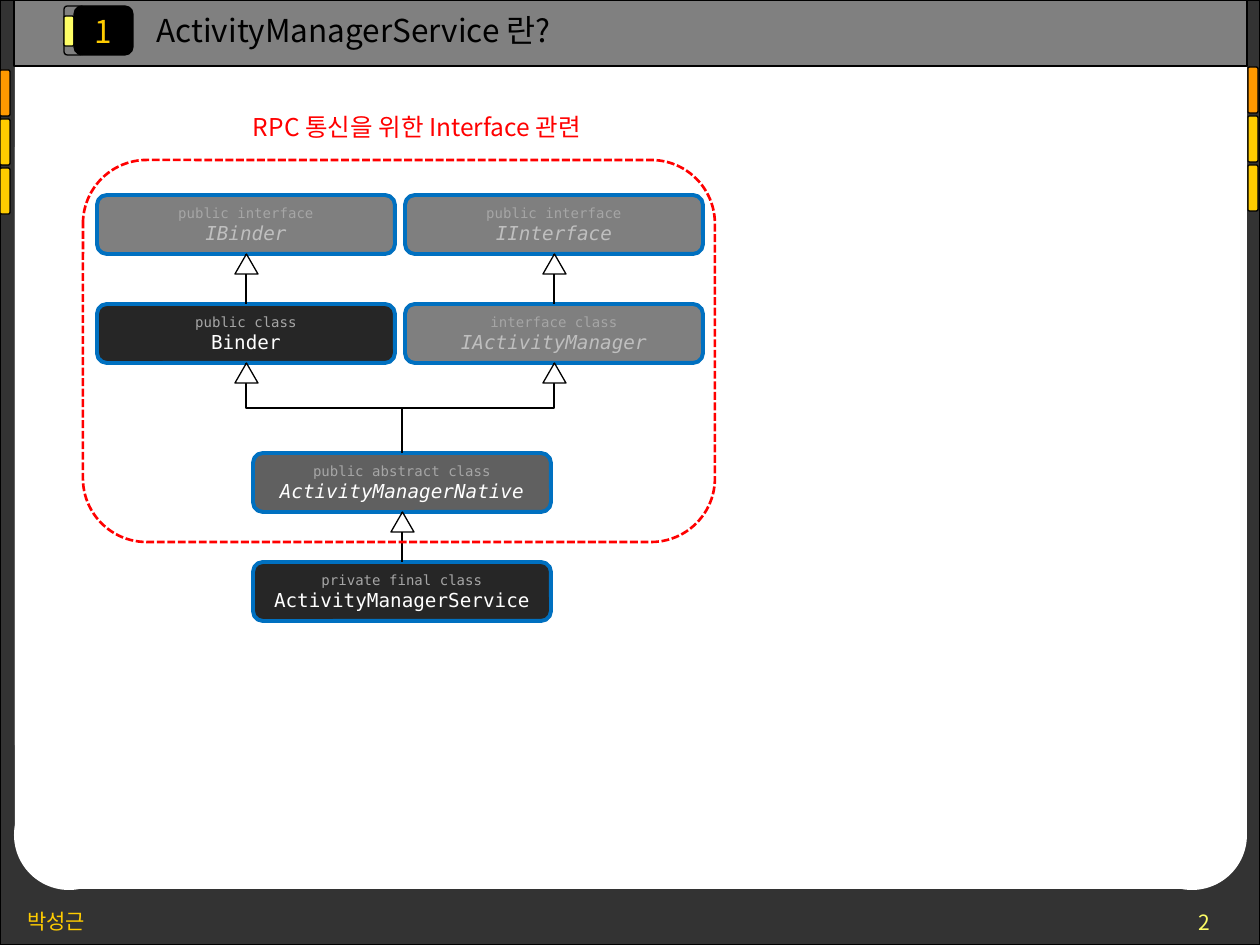
from typing import NamedTuple

from lxml import etree
from pptx import Presentation
from pptx import util as u
from pptx.dml.color import RGBColor
from pptx.enum import dml, shapes, text
from pptx.oxml.ns import qn

KOREAN = "Noto Sans CJK KR"
MONO = "DejaVu Sans Mono"
RECT = shapes.MSO_SHAPE.RECTANGLE
ROUNDED = shapes.MSO_SHAPE.ROUNDED_RECTANGLE
OVAL = shapes.MSO_SHAPE.OVAL
TRIANGLE = shapes.MSO_SHAPE.ISOSCELES_TRIANGLE
LEFT, CENTER = text.PP_ALIGN.LEFT, text.PP_ALIGN.CENTER
BOX_W, BOX_H = 298, 59
HEAD_W, HEAD_H = 23, 20


class Panel(NamedTuple):
    kind: shapes.MSO_SHAPE
    left: int
    top: int
    width: int
    height: int
    fill: str | None
    line: str | None = None
    weight: float = 0.75


class Words(NamedTuple):
    content: str
    size: float
    color: str
    font: str = KOREAN
    italic: bool = False


class ClassBox(NamedTuple):
    left: int
    top: int
    fill: str
    modifier: str
    name: str
    color: str
    italic: bool

    @property
    def center(self) -> int:
        return self.left + BOX_W // 2

    @property
    def bottom(self) -> int:
        return self.top + BOX_H


def px(value: float) -> u.Emu:
    return u.Emu(round(value * 914400 / 126))


def rgb(code: str) -> RGBColor:
    return RGBColor.from_string(code)


def add_panel(slide, panel: Panel):
    shape = slide.shapes.add_shape(panel.kind, *map(px, panel[1:5]))
    shape.shadow.inherit = False
    if panel.fill:
        shape.fill.solid()
        shape.fill.fore_color.rgb = rgb(panel.fill)
    else:
        shape.fill.background()
    if panel.line:
        shape.line.color.rgb = rgb(panel.line)
        shape.line.width = u.Pt(panel.weight)
    else:
        shape.line.fill.background()
    return shape


def write(paragraph, words: Words, align=LEFT, before: float = 0) -> None:
    paragraph.alignment = align
    paragraph.space_before = u.Pt(before)
    run = paragraph.add_run()
    run.text = words.content
    run.font.size = u.Pt(words.size)
    run.font.color.rgb = rgb(words.color)
    run.font.name = words.font
    run.font.bold = False
    run.font.italic = words.italic
    latin = run.font._element.find(qn("a:latin"))
    east_asian = etree.Element(qn("a:ea"), typeface=words.font)
    latin.addnext(east_asian)


def add_label(slide, left: int, top: int, width: int, height: int,
              words: Words, align=LEFT, before: float = 0) -> None:
    label = slide.shapes.add_textbox(*map(px, (left, top, width, height)))
    label.text_frame.word_wrap = True
    write(label.text_frame.paragraphs[0], words, align, before)


def add_class(slide, box: ClassBox):
    shape = add_panel(slide, Panel(ROUNDED, box.left, box.top, BOX_W, BOX_H,
                                   box.fill, "0070C0", 2.25))
    frame = shape.text_frame
    frame.word_wrap = True
    frame.vertical_anchor = text.MSO_ANCHOR.MIDDLE
    write(frame.paragraphs[0], Words(box.modifier, 8, "A6A6A6", MONO), CENTER)
    write(frame.add_paragraph(),
          Words(box.name, 11, box.color, MONO, box.italic), CENTER)
    return shape


def add_line(slide, kind, x1: float, y1: float, x2: float, y2: float):
    line = slide.shapes.add_connector(kind, *map(px, (x1, y1, x2, y2)))
    line.line.color.rgb = rgb("000000")
    line.line.width = u.Pt(0.75)
    etree.SubElement(line.element.spPr, qn("a:effectLst"))
    return line


def add_inheritance(slide, child: ClassBox, parent: ClassBox, drawn: dict) -> None:
    run, rise = parent.center - child.center, child.top - parent.bottom
    if run == 0:
        line = add_line(slide, shapes.MSO_CONNECTOR.STRAIGHT, child.center,
                        child.top, parent.center, parent.bottom)
        line.begin_connect(drawn[child], 0)
        line.end_connect(drawn[parent], 2)
    else:
        middle_x = child.center + run / 2
        middle_y = parent.bottom + rise / 2
        line = add_line(slide, shapes.MSO_CONNECTOR.ELBOW,
                        middle_x - rise / 2, middle_y - run / 2,
                        middle_x + rise / 2, middle_y + run / 2)
        line.element.spPr.find(qn("a:xfrm")).set("rot", "16200000")
    add_panel(slide, Panel(TRIANGLE, parent.center - HEAD_W // 2, parent.bottom,
                           HEAD_W, HEAD_H, "FFFFFF", "000000"))


def add_backdrop(slide) -> None:
    tabs = [Panel(ROUNDED, left, top + 49 * step, 10, 46,
                  "FFCC00" if step else "FF9900", "000000")
            for left, top in ((0, 70), (1248, 67)) for step in range(3)]
    for panel in (
        Panel(RECT, 0, 0, 1260, 945, "333333", "000000"),
        Panel(ROUNDED, 15, 0, 1230, 889, "FFFFFF"),
        Panel(RECT, 15, 0, 1232, 833, "FFFFFF"),
        *tabs,
        Panel(RECT, 14, 0, 1233, 66, "808080", "000000"),
        Panel(OVAL, 14, 780, 110, 110, "FFFFFF"),
        Panel(OVAL, 1137, 780, 110, 110, "FFFFFF"),
        Panel(RECT, 74, 760, 1121, 129, "FFFFFF"),
        Panel(ROUNDED, 64, 6, 20, 49, "808080", "000000"),
        Panel(ROUNDED, 64, 16, 10, 30, "FFFF66", "000000"),
    ):
        add_panel(slide, panel)
    add_label(slide, 1186, 903, 70, 42, Words("2", 12, "FFFF66"), before=7.5)
    add_label(slide, 15, 902, 596, 38, Words("박성근", 12, "FFCC00"), before=7.5)


def add_heading(slide) -> None:
    number = add_panel(slide, Panel(ROUNDED, 74, 6, 59, 49, "000000", "000000"))
    number.text_frame.word_wrap = False
    number.text_frame.vertical_anchor = text.MSO_ANCHOR.MIDDLE
    write(number.text_frame.paragraphs[0], Words("1", 18, "FFCC00"), CENTER)
    title = slide.shapes.title
    title.left, title.top, title.width, title.height = map(px, (144, 5, 1091, 50))
    title.text_frame.vertical_anchor = text.MSO_ANCHOR.TOP
    title.text_frame.auto_size = text.MSO_AUTO_SIZE.NONE
    write(title.text_frame.paragraphs[0],
          Words("ActivityManagerService 란?", 18, "000000"))
    number.element.addnext(title.element)


def main() -> None:
    deck = Presentation()
    deck.slide_width, deck.slide_height = px(1260), px(945)
    slide = deck.slides.add_slide(deck.slide_layouts[5])
    add_backdrop(slide)
    add_heading(slide)

    native = ClassBox(253, 453, "606060", "public abstract class",
                      "ActivityManagerNative", "FFFFFF", True)
    service = ClassBox(253, 562, "262626", "private final class",
                       "ActivityManagerService", "FFFFFF", False)
    binder = ClassBox(97, 304, "262626", "public class", "Binder", "FFFFFF", False)
    manager = ClassBox(405, 304, "7F7F7F", "interface class",
                       "IActivityManager", "BFBFBF", True)
    interface = ClassBox(405, 195, "7F7F7F", "public interface",
                         "IInterface", "BFBFBF", True)
    ibinder = ClassBox(97, 195, "7F7F7F", "public interface",
                       "IBinder", "BFBFBF", True)
    drawn = {box: add_class(slide, box)
             for box in (native, service, binder, manager, interface, ibinder)}
    for child, parent in ((service, native), (native, binder), (native, manager),
                          (manager, interface), (binder, ibinder)):
        add_inheritance(slide, child, parent, drawn)

    rpc = add_panel(slide, Panel(ROUNDED, 83, 160, 632, 382, None, "FF0000", 1.5))
    rpc.line.dash_style = dml.MSO_LINE.SQUARE_DOT
    add_label(slide, 134, 106, 566, 43,
              Words("RPC 통신을 위한 Interface 관련", 14, "FF0000"), CENTER)
    deck.save("out.pptx")


if __name__ == "__main__":
    main()
